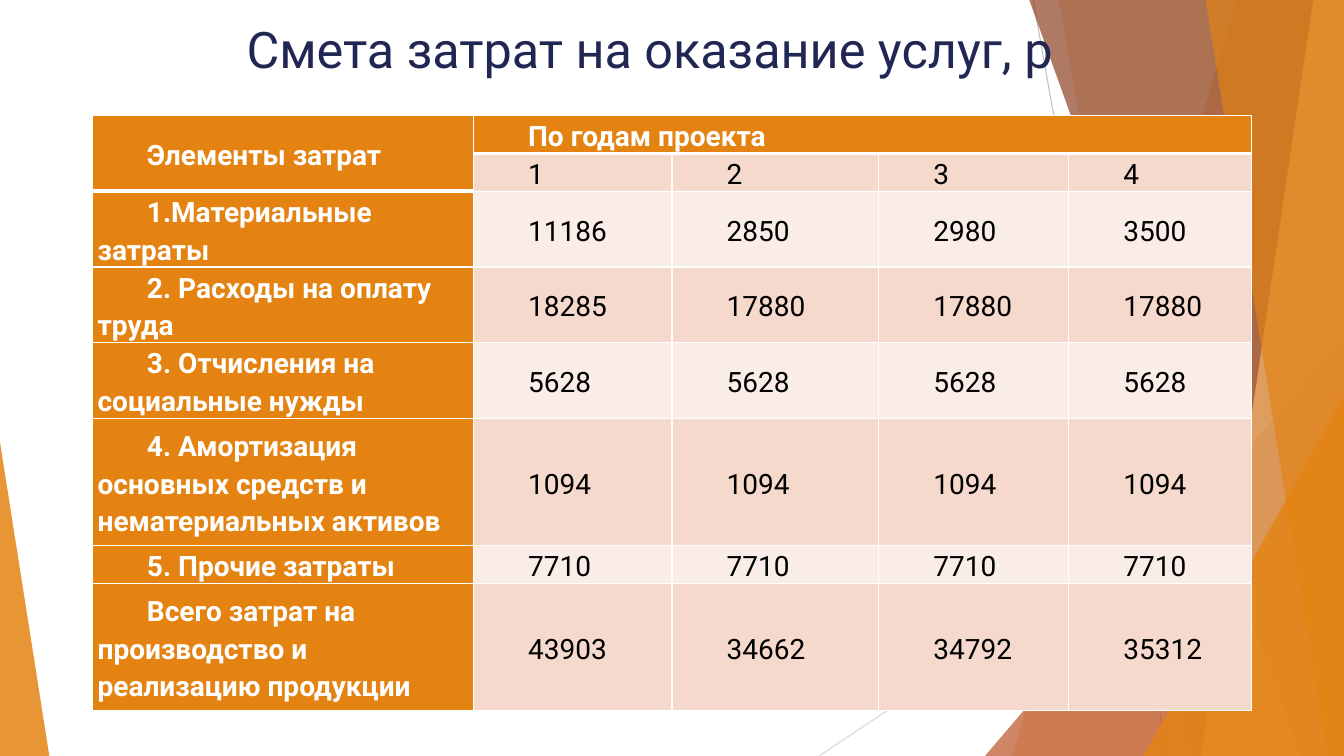
import dataclasses
import typing

import lxml.etree
import pptx
import pptx.dml.color
import pptx.enum.shapes
import pptx.enum.text
import pptx.oxml.ns
import pptx.util

PX = 9525  # EMU in one px, 96 px to the inch
WIDE, HIGH = 1280, 720
qn = pptx.oxml.ns.qn
ALIGN = pptx.enum.text.PP_ALIGN


@dataclasses.dataclass(frozen=True)
class Theme:
    font: str = "Roboto"
    title_size: int = 36
    cell_size: int = 20
    title: str = "212753"
    orange: str = "E48312"
    peach: str = "F3B56C"
    rust: str = "BD582C"
    brown: str = "8E4221"
    band: str = "F5D9CC"
    pale: str = "FAEDE7"
    white: str = "FFFFFF"
    black: str = "000000"
    light: str = "BFBFBF"
    faint: str = "D9D9D9"


THEME = Theme()


@dataclasses.dataclass(frozen=True)
class Line:
    x1: int
    y1: int
    x2: int
    y2: int
    color: str


@dataclasses.dataclass(frozen=True)
class Panel:
    """A full-height strip from a slanted left edge to the right side of the slide."""
    top_x: int
    base_x: int
    color: str
    alpha: int


@dataclasses.dataclass(frozen=True)
class Wedge:
    x: int
    y: int
    wide: int
    high: int
    peak: int
    color: str
    alpha: int


LINES = [
    Line(984, 0, 1112, 720, THEME.light),
    Line(1280, 387, 780, 720, THEME.faint),
]
DECOR: list[Panel | Wedge] = [
    Panel(1178, 964, THEME.orange, 30),
    Panel(1008, 1135, THEME.orange, 20),
    Wedge(938, 320, 342, 400, 1, THEME.rust, 72),
    Panel(980, 1239, THEME.brown, 70),
    Panel(1251, 1144, THEME.peach, 70),
    Panel(1148, 1264, THEME.orange, 65),
    Wedge(1089, 377, 191, 343, 1, THEME.orange, 80),
    Wedge(0, 421, 47, 299, 0, THEME.orange, 85),
]

COLS = [363, 189, 197, 181, 174]
ROWS = [30, 30, 60, 60, 67, 121, 34, 121]
COSTS = [
    ["Элементы затрат", "По годам проекта", "", "", ""],
    ["", "1", "2", "3", "4"],
    ["1.Материальные затраты", "11186", "2850", "2980", "3500"],
    ["2. Расходы на оплату труда", "18285", "17880", "17880", "17880"],
    ["3. Отчисления на социальные нужды", "5628", "5628", "5628", "5628"],
    ["4. Амортизация основных средств и нематериальных активов",
     "1094", "1094", "1094", "1094"],
    ["5. Прочие затраты", "7710", "7710", "7710", "7710"],
    ["Всего затрат на производство и реализацию продукции",
     "43903", "34662", "34792", "35312"],
]


def rgb(color: str) -> pptx.dml.color.RGBColor:
    return pptx.dml.color.RGBColor.from_string(color)


def add_run(para: typing.Any, text: str, size: int, color: str, bold: bool) -> None:
    run = para.add_run()
    run.text = text
    run.font.name = THEME.font
    run.font.size = pptx.util.Pt(size)
    run.font.bold = bold
    run.font.color.rgb = rgb(color)


def draw_line(shapes: typing.Any, line: Line) -> None:
    ends = [n * PX for n in (line.x1, line.y1, line.x2, line.y2)]
    link = shapes.add_connector(pptx.enum.shapes.MSO_CONNECTOR.STRAIGHT, *ends)
    link.line.color.rgb = rgb(line.color)
    link.line.width = pptx.util.Pt(0.75)
    lxml.etree.SubElement(link.element.spPr, qn("a:effectLst"))


def draw_decor(shapes: typing.Any, item: Panel | Wedge) -> None:
    if isinstance(item, Panel):
        path = shapes.build_freeform(item.top_x, -1, scale=float(PX))
        path.add_line_segments([(WIDE, -1), (WIDE, HIGH), (item.base_x, HIGH)])
        shape = path.convert_to_shape()
    else:
        box = [n * PX for n in (item.x, item.y, item.wide, item.high)]
        kind = pptx.enum.shapes.MSO_SHAPE.ISOSCELES_TRIANGLE
        shape = shapes.add_shape(kind, *box)
        shape.adjustments[0] = item.peak
    shape.shadow.inherit = False
    shape.line.fill.background()
    shape.fill.solid()
    shape.fill.fore_color.rgb = rgb(item.color)
    tint = shape.element.spPr.find(".//" + qn("a:srgbClr"))
    lxml.etree.SubElement(tint, qn("a:alpha"), val=str(item.alpha * 1000))


def add_edge(props: typing.Any, side: str, points: int) -> None:
    edge = lxml.etree.SubElement(props, qn("a:ln" + side), w=str(pptx.util.Pt(points)))
    fill = lxml.etree.SubElement(edge, qn("a:solidFill"))
    lxml.etree.SubElement(fill, qn("a:srgbClr"), val=THEME.white)


def fill_cell(cell: typing.Any, node: typing.Any, row: int, col: int) -> None:
    """Style one cell; node is its a:tc element."""
    last_head = 1 if col == 0 else 0
    head = col == 0 or row == 0
    props = node.get_or_add_tcPr()
    add_edge(props, "L", 1)
    add_edge(props, "R", 1)
    add_edge(props, "T", 3 if row == last_head + 1 else 1)
    add_edge(props, "B", 3 if row <= last_head else 1)
    cell.fill.solid()
    band = THEME.band if row % 2 else THEME.pale
    if row == len(ROWS) - 1:
        band = THEME.band
    cell.fill.fore_color.rgb = rgb(THEME.orange if head else band)
    cell.margin_left = cell.margin_right = 5 * PX
    cell.margin_top = cell.margin_bottom = 0
    cell.vertical_anchor = pptx.enum.text.MSO_ANCHOR.MIDDLE
    if not COSTS[row][col]:
        return
    para = cell.text_frame.paragraphs[0]
    para.alignment = ALIGN.LEFT if col == 0 else ALIGN.JUSTIFY
    para.line_spacing = 1.15
    node.find(".//" + qn("a:pPr")).set("indent", str(47 * PX))
    color = THEME.white if head else THEME.black
    add_run(para, COSTS[row][col], THEME.cell_size, color, head)


def draw_costs(shapes: typing.Any) -> None:
    box = [n * PX for n in (88, 110, sum(COLS), sum(ROWS))]
    frame = shapes.add_table(len(ROWS), len(COLS), *box)
    table = frame.table
    table.first_row = table.horz_banding = False
    for col, width in zip(table.columns, COLS):
        col.width = width * PX
    for row, height in zip(table.rows, ROWS):
        row.height = height * PX
    table.cell(0, 0).merge(table.cell(1, 0))
    table.cell(0, 1).merge(table.cell(0, 4))
    for place, node in enumerate(frame.element.iter(qn("a:tc"))):
        row, col = divmod(place, len(COLS))
        fill_cell(table.cell(row, col), node, row, col)
    frame.height = 572 * PX


def place_title(title: typing.Any) -> None:
    title.element.getparent().append(title.element)  # bring in front of the decor
    title.left, title.top, title.width, title.height = (
        n * PX for n in (163, 12, 912, 112))
    text = title.text_frame
    text.word_wrap = True
    text.vertical_anchor = pptx.enum.text.MSO_ANCHOR.TOP
    para = text.paragraphs[0]
    para.alignment = ALIGN.CENTER
    add_run(para, "Смета затрат на оказание услуг, р",
            THEME.title_size, THEME.title, False)


def main() -> None:
    deck = pptx.Presentation()
    deck.slide_width, deck.slide_height = WIDE * PX, HIGH * PX
    slide = deck.slides.add_slide(deck.slide_layouts.get_by_name("Title Only"))
    for line in LINES:
        draw_line(slide.shapes, line)
    for item in DECOR:
        draw_decor(slide.shapes, item)
    place_title(slide.shapes.title)
    draw_costs(slide.shapes)
    deck.save("out.pptx")


if __name__ == "__main__":
    main()
